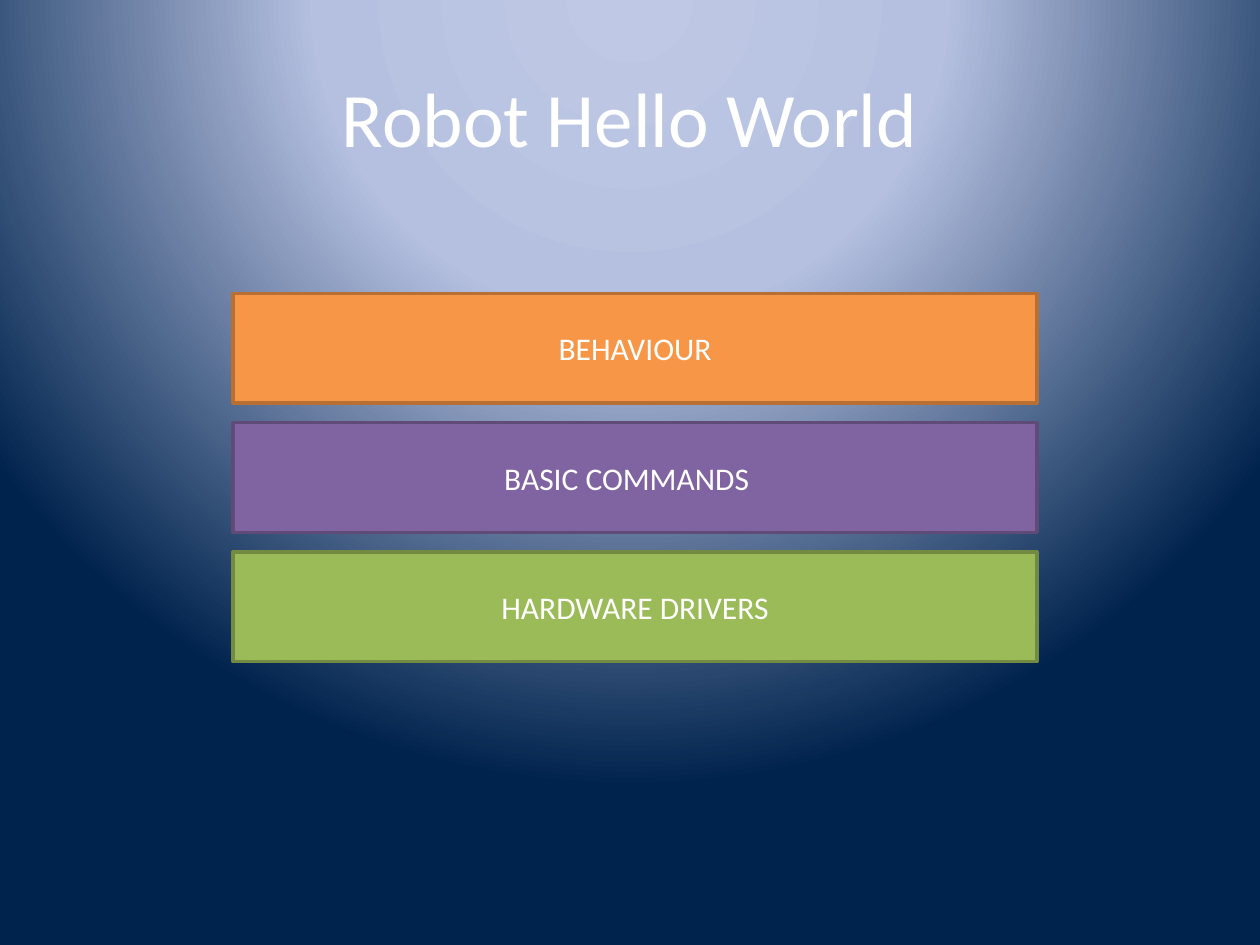
from pptx import Presentation
from pptx.dml.color import RGBColor
from pptx.enum.shapes import MSO_SHAPE
from pptx.enum.text import MSO_ANCHOR, PP_ALIGN
from pptx.oxml import parse_xml
from pptx.oxml.ns import nsdecls, qn
from pptx.util import Inches, Pt

TITLE = "Robot Hello World"
# label, fill, outline, extra right inset that shifts the label left
LAYERS = [
    ("BEHAVIOUR", "F79646", "B76F34", 0),
    ("BASIC COMMANDS", "8064A2", "5F4A78", 0.13),
    ("HARDWARE DRIVERS", "9BBB59", "738A42", 0),
]
GLOW = [(0, "BFC9E5"), (40, "B5C0E0"), (100, "00234D")]
FOCUS = {"l": 50, "t": -80, "r": 50, "b": 180}

WIDE, HIGH = 10, 7.5
LEFT, TOP, BAR_W, BAR_H, PITCH = 1.85, 2.33, 6.38, 0.87, 1.025
INSET = 0.1


def color(code):
    return RGBColor.from_string(code)


def place(shape, *box):
    shape.left, shape.top, shape.width, shape.height = map(Inches, box)


def write(shape, text, size):
    frame = shape.text_frame
    frame.word_wrap = True
    frame.vertical_anchor = MSO_ANCHOR.MIDDLE
    para = frame.paragraphs[0]
    para.alignment = PP_ALIGN.CENTER
    run = para.add_run()
    run.text = text
    run.font.name = "Calibri"
    run.font.size = Pt(size)
    run.font.color.rgb = color("FFFFFF")


def paint_glow(slide):
    """Fill the background with a circular gradient centred above the slide."""
    slide.background.fill.gradient()
    old = slide.element.find(".//" + qn("a:gradFill"))
    stops = "".join(
        f'<a:gs pos="{pos * 1000}"><a:srgbClr val="{code}"/></a:gs>'
        for pos, code in GLOW
    )
    sides = " ".join(f'{side}="{part * 1000}"' for side, part in FOCUS.items())
    new = parse_xml(
        f'<a:gradFill {nsdecls("a")} rotWithShape="1"><a:gsLst>{stops}</a:gsLst>'
        f'<a:path path="circle"><a:fillToRect {sides}/></a:path></a:gradFill>'
    )
    old.getparent().replace(old, new)


def add_layer(slide, row, label, fill, edge, shift):
    bar = slide.shapes.add_shape(MSO_SHAPE.RECTANGLE, 0, 0, 0, 0)
    place(bar, LEFT, TOP + row * PITCH, BAR_W, BAR_H)
    bar.shadow.inherit = False
    bar.fill.solid()
    bar.fill.fore_color.rgb = color(fill)
    bar.line.color.rgb = color(edge)
    bar.line.width = Pt(2)
    write(bar, label, 18)
    bar.text_frame.margin_right = Inches(INSET + shift)


def main():
    deck = Presentation()
    deck.slide_width, deck.slide_height = Inches(WIDE), Inches(HIGH)
    slide = deck.slides.add_slide(deck.slide_layouts[5])
    paint_glow(slide)
    title = slide.shapes.title
    place(title, WIDE * 0.05, HIGH * 0.04, WIDE * 0.9, 1.25)
    write(title, TITLE, 44)
    for row, layer in enumerate(LAYERS):
        add_layer(slide, row, *layer)
    deck.save("out.pptx")


if __name__ == "__main__":
    main()
